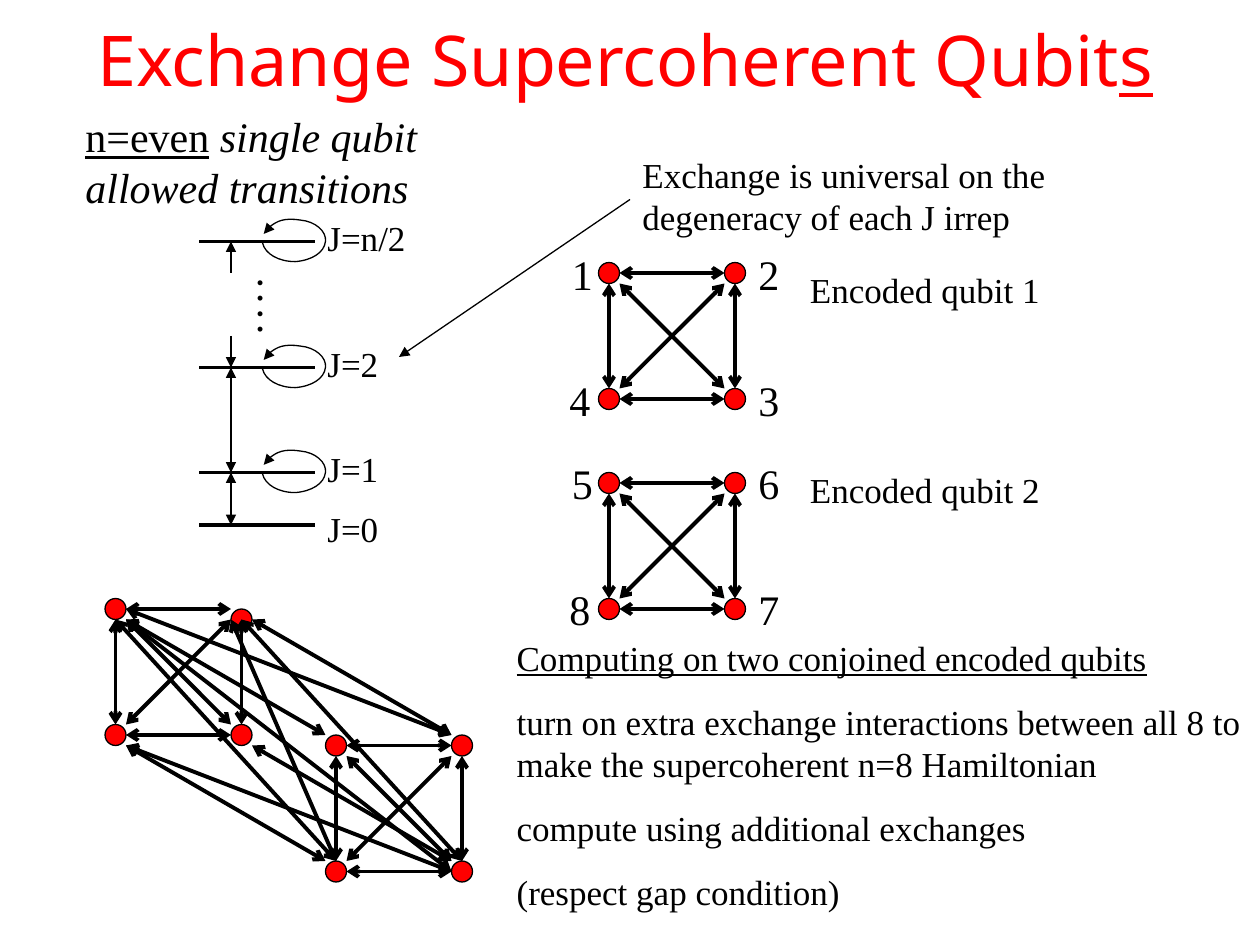
from dataclasses import dataclass

from lxml.etree import SubElement
from pptx import Presentation
from pptx.dml.color import RGBColor
from pptx.enum.shapes import MSO_CONNECTOR, MSO_SHAPE
from pptx.enum.text import MSO_ANCHOR, PP_ALIGN
from pptx.oxml.ns import qn
from pptx.util import Inches, Pt


@dataclass(frozen=True)
class Theme:
    """Colours, fonts, type sizes and line widths of the slide."""
    red: RGBColor = RGBColor(255, 0, 0)
    black: RGBColor = RGBColor(0, 0, 0)
    title_font: str = "Noto Sans"
    font: str = "Times New Roman"
    title: int = 40
    large: int = 24
    body: int = 20
    thin: float = 0.75
    thick: float = 2.25


THEME = Theme()
RADIUS = 1 / 12
SIDE = 1
UNDERLINE = {"underline": True}
ITALIC = {"italic": True}
LOOP_START = (0, 0.01)
LOOP_CURVES = (
    ((0.02, 0.1), (0.13, 0.16), (0.26, 0.16)),
    ((0.39, 0.15), (0.49, 0.09), (0.5, 0)),
    ((0.51, -0.08), (0.42, -0.16), (0.3, -0.17)),
    ((0.17, -0.19), (0.05, -0.14), (0.01, -0.06)),
)


def snap(*values):
    """Return lengths rounded to the grid of twelfths of an inch."""
    return [Inches(round(value * 12) / 12) for value in values]


def apply(target, values):
    """Set each named attribute on the target."""
    for name, value in values.items():
        setattr(target, name, value)


def place(shape, left, top, width, height):
    """Move and size a shape, in inches."""
    names = ("left", "top", "width", "height")
    apply(shape, dict(zip(names, map(Inches, (left, top, width, height)))))


def write(box, paragraphs, size, font=THEME.font, color=THEME.black, align=PP_ALIGN.LEFT):
    """Fill a box with paragraphs, each a list of (text, format) spans."""
    frame = box.text_frame
    apply(frame, {"word_wrap": True, "vertical_anchor": MSO_ANCHOR.TOP})
    for index, spans in enumerate(paragraphs):
        para = frame.add_paragraph() if index else frame.paragraphs[0]
        properties = para._p.get_or_add_pPr()
        for name in ("marL", "indent"):
            properties.set(name, "0")
        SubElement(properties, qn("a:buNone"))
        apply(para, {"alignment": align, "space_before": Pt(12.5 if index else 0)})
        for text, values in spans:
            span = para.add_run()
            span.text = text
            apply(span.font, {"name": font, "size": Pt(size), **values})
            span.font.color.rgb = color


def add_label(page, text, left, top, width, height=0.44, size=THEME.body):
    """Add a plain text box."""
    box = page.shapes.add_textbox(*map(Inches, (left, top, width, height)))
    write(box, [[(text, {})]], size)


def style_line(shape, width, head=None, tail=None):
    """Give a line its colour, width and arrowheads."""
    shape.line.color.rgb = THEME.black
    shape.line.width = Pt(width)
    outline = shape._element.spPr.find(qn("a:ln"))
    for tag, kind in (("a:headEnd", head), ("a:tailEnd", tail)):
        if kind:
            SubElement(outline, qn(tag), type=kind)


def add_line(page, start, end, width=THEME.thin, head=None, tail=None):
    """Add a straight line between two grid points."""
    line = page.shapes.add_connector(MSO_CONNECTOR.STRAIGHT, *snap(*start, *end))
    style_line(line, width, head, tail)
    SubElement(line._element.spPr, qn("a:effectLst"))


def add_exchange(page, start, end):
    """Add a thick double arrow between two qubits."""
    add_line(page, start, end, THEME.thick, "arrow", "arrow")


def add_loop(page, x, y):
    """Add an open curved loop that ends in an arrowhead."""
    left, middle = snap(x, y)

    def locate(point):
        return left + Inches(point[0]), middle + Inches(point[1])

    builder = page.shapes.build_freeform(*locate(LOOP_START))
    builder.add_line_segments([locate(curve[-1]) for curve in LOOP_CURVES], close=False)
    loop = builder.convert_to_shape()
    outline = next(loop._element.iter(qn("a:path")))
    for segment, curve in zip(outline.findall(qn("a:lnTo")), LOOP_CURVES):
        outline.remove(segment)
        bend = SubElement(outline, qn("a:cubicBezTo"))
        for across, down in map(locate, curve):
            SubElement(bend, qn("a:pt"), x=str(across - loop.left), y=str(down - loop.top))
    loop.shadow.inherit = False
    loop.fill.background()
    style_line(loop, THEME.thin, tail="triangle")


def add_dot(page, x, y):
    """Add a red qubit centred on a grid point."""
    dot = page.shapes.add_shape(
        MSO_SHAPE.OVAL, *snap(x - RADIUS, y - RADIUS, 2 * RADIUS, 2 * RADIUS))
    dot.shadow.inherit = False
    dot.fill.solid()
    dot.fill.fore_color.rgb = THEME.red
    style_line(dot, THEME.thin)


def add_square(page, x, y, drop=0):
    """Add four fully coupled qubits, the top right one lowered by drop."""
    right, bottom = x + SIDE, y + SIDE
    for point in ((x, y), (right, y + drop), (x, bottom), (right, bottom)):
        add_dot(page, *point)
    near, far = x + RADIUS, right - RADIUS
    high, low = y + RADIUS, bottom - RADIUS
    for column in (x, right):
        add_exchange(page, (column, low), (column, high))
    for first, last in ((bottom, bottom), (y, y), (high, low), (low, high)):
        add_exchange(page, (near, first), (far, last))


def add_ladder(page):
    """Add the energy levels with their loops and transitions."""
    left, right, middle = 1.58, 2.5, 1.83
    levels = {"J=0": 4.17, "J=1": 3.75, "J=2": 2.92, "J=n/2": 1.92}
    ground, first, second, top = levels.values()
    for name, y in levels.items():
        add_line(page, (left, y), (right, y), THEME.thick)
        add_label(page, name, right, y - (0.19 if y == ground else 0.25), 0.92)
        if y != ground:
            add_loop(page, 2.08, y)
    for y in (2.25, 2):
        add_label(page, ":", 1.92, y, 0.33, 0.5, THEME.large)
    both = {"head": "triangle", "tail": "triangle"}
    add_line(page, (middle, ground), (middle, first), **both)
    add_line(page, (middle, first), (middle, second), **both)
    add_line(page, (middle, second - 0.25), (middle, second), tail="triangle")
    add_line(page, (middle, top), (middle, top + 0.25), head="triangle")


def add_encoded_qubit(page, number, y, label_top):
    """Add a numbered square and its caption."""
    x, first = 4.83, 4 * number - 3
    add_square(page, x, y)
    corners = ((-0.39, 0), (SIDE + 0.09, 0), (SIDE + 0.09, SIDE), (-0.41, SIDE))
    for offset, (across, down) in enumerate(corners):
        add_label(page, str(first + offset), x + across, y + down - 0.25, 0.42, 0.5, THEME.large)
    add_label(page, f"Encoded qubit {number}", 6.33, label_top, 2.17)


def add_conjoined_qubits(page):
    """Add two squares and the couplings between them."""
    add_square(page, 0.92, 4.83, drop=RADIUS)
    add_square(page, 2.67, 5.92)
    links = (
        ((1, 4.92), (2.58, 5.83)), ((1, 5.92), (2.58, 6.83)),
        ((2, 4.92), (3.58, 5.83)), ((2, 5.92), (3.58, 6.83)),
        ((1.92, 4.92), (3.67, 6.83)), ((0.92, 4.92), (2.67, 6.83)),
        ((1, 4.83), (3.58, 5.83)), ((1, 5.92), (3.58, 6.92)),
        ((1, 4.92), (3.58, 6.92)), ((1.83, 4.92), (2.67, 6.83)),
    )
    for start, end in links:
        add_exchange(page, start, end)


def main():
    """Build the slide and save it."""
    deck = Presentation()
    apply(deck, {"slide_width": Inches(10), "slide_height": Inches(7.5)})
    page = deck.slides.add_slide(deck.slide_layouts[1])
    title, body = page.placeholders
    place(title, 0, 0.08, 9.92, 0.77)
    write(title, [[("Exchange Supercoherent Qubit", {}), ("s", UNDERLINE)]],
          THEME.title, THEME.title_font, THEME.red, PP_ALIGN.CENTER)
    heading = page.shapes.add_textbox(*map(Inches, (0.58, 0.83, 4, 0.9)))
    heading.text_frame.margin_right = Inches(0.7)
    write(heading, [[("n=even", UNDERLINE), (" ", {}),
                     ("single qubit allowed transitions", ITALIC)]], THEME.large)
    add_ladder(page)
    add_line(page, (5, 1.58), (3.17, 2.83), tail="triangle")
    add_label(page, "Exchange is universal on the degeneracy of each J irrep", 5, 1.17, 4.58, 0.77)
    add_encoded_qubit(page, 1, 2.17, 2.08)
    add_encoded_qubit(page, 2, 3.83, 3.67)
    add_conjoined_qubits(page)
    place(body, 4, 5, 6, 2.29)
    write(body, [
        [("Computing on two conjoined encoded qubits", UNDERLINE)],
        [("turn on extra exchange interactions between all 8 to make the "
          "supercoherent n=8 Hamiltonian", {})],
        [("compute using additional exchanges", {})],
        [("(respect gap condition)", {})],
    ], THEME.body)
    deck.save("out.pptx")


if __name__ == "__main__":
    main()
